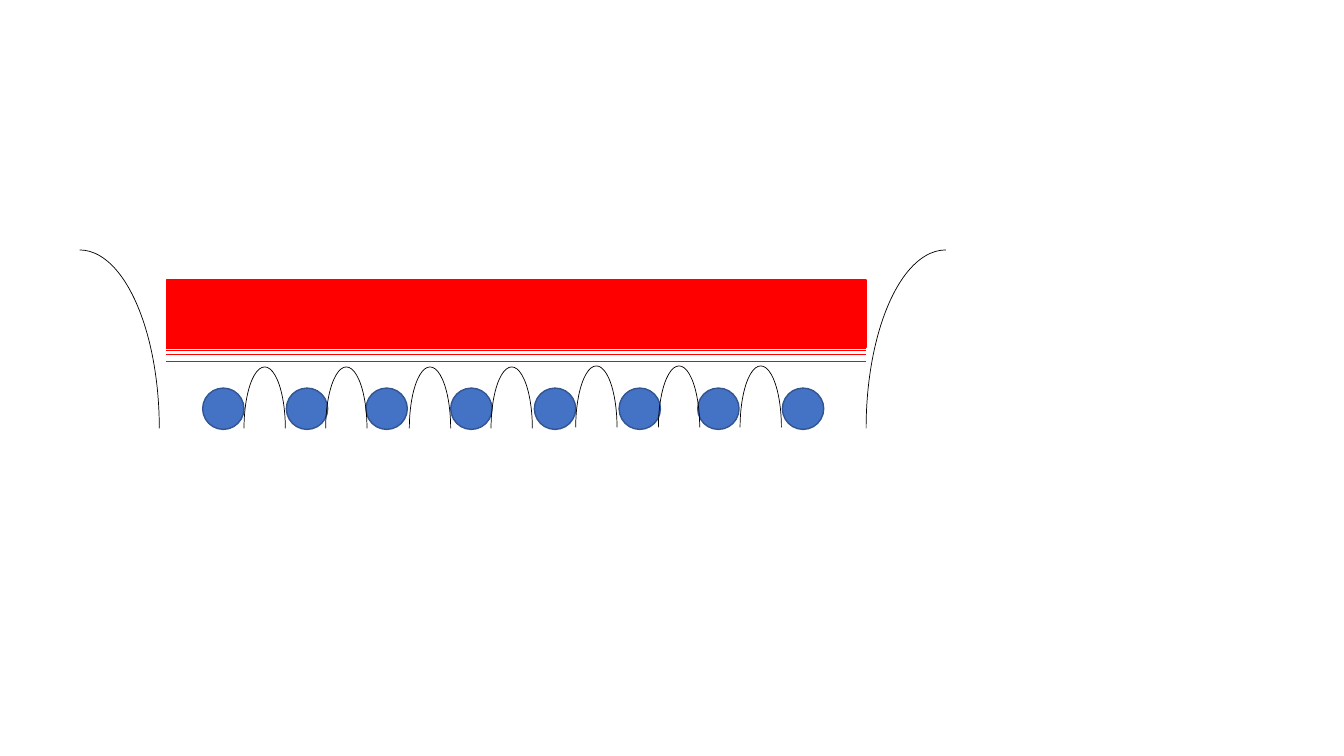
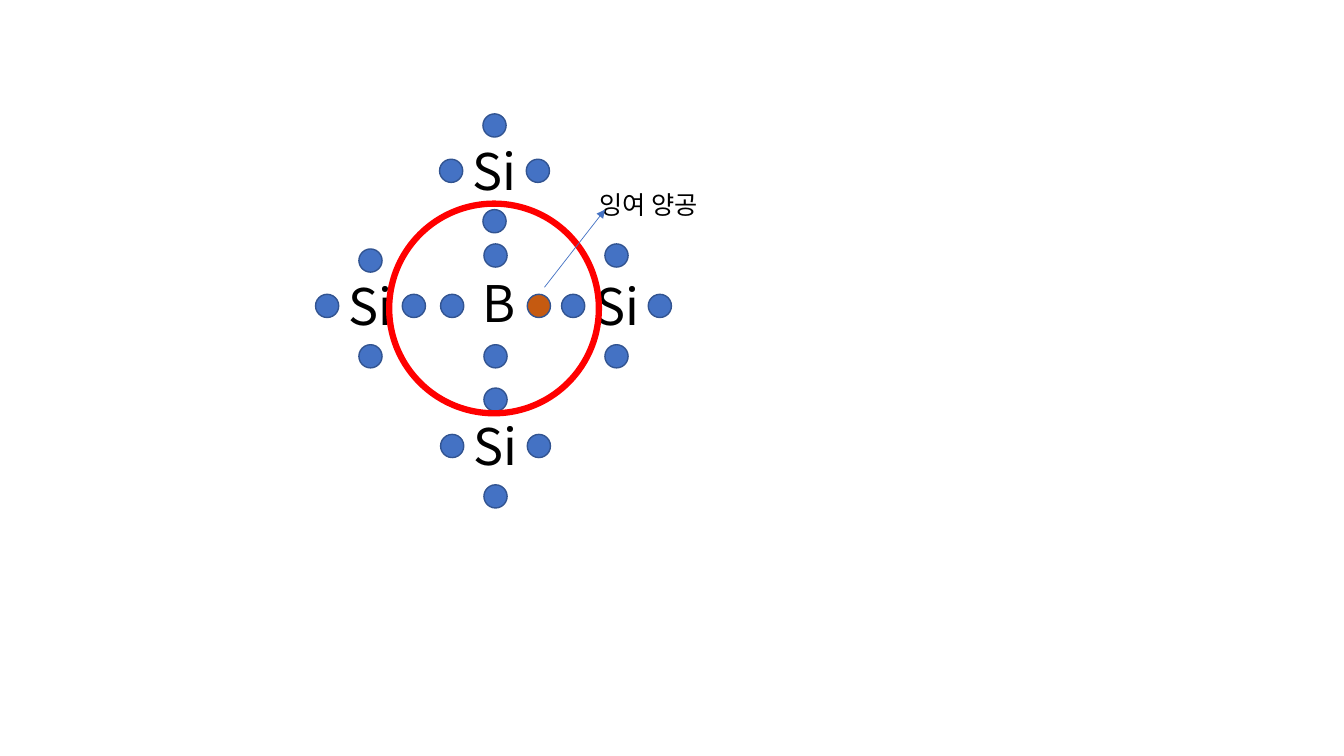
from lxml import etree
from pptx import Presentation
from pptx import util as u
from pptx.dml.color import RGBColor
from pptx.enum import shapes
from pptx.oxml.ns import qn

FONT = "Noto Sans CJK KR"
BLACK, RED, BLUE = "000000", "FF0000", "4472C4"
DARK_BLUE, ORANGE = "325491", "C55A11"

# Arc angles, in the units of the shape's adjustments (0.6 per degree)
LEFT, TOP, RIGHT = 108, 162, 0


def colour(value):
    return RGBColor.from_string(value)


def add_outline(slide, kind, box, fill, line, width):
    """Add a preset shape; a fill of None leaves it empty."""
    shape = slide.shapes.add_shape(kind, *map(u.Inches, box))
    shape.shadow.inherit = False
    if fill:
        shape.fill.solid()
        shape.fill.fore_color.rgb = colour(fill)
    else:
        shape.fill.background()
    shape.line.color.rgb = colour(line)
    shape.line.width = u.Pt(width)
    return shape


def add_ball(slide, left, top, size, fill=BLUE):
    add_outline(slide, shapes.MSO_SHAPE.OVAL, (left, top, size, size),
                fill, DARK_BLUE, 1)


def add_arc(slide, box, start, end):
    arc = add_outline(slide, shapes.MSO_SHAPE.ARC, box, None, BLACK, 0.5)
    arc.adjustments[0] = start
    arc.adjustments[1] = end


def add_line(slide, start, end, line, arrow=False):
    connector = slide.shapes.add_connector(
        shapes.MSO_CONNECTOR.STRAIGHT, *map(u.Inches, start + end))
    connector.line.color.rgb = colour(line)
    connector.line.width = u.Pt(0.5)
    properties = connector._element.spPr
    if arrow:
        outline = properties.find(qn("a:ln"))
        etree.SubElement(outline, qn("a:tailEnd"), type="triangle")
    etree.SubElement(properties, qn("a:effectLst"))


def add_label(slide, text, box, size, wrap=True):
    frame = slide.shapes.add_textbox(*map(u.Inches, box)).text_frame
    frame.word_wrap = wrap
    paragraph = frame.paragraphs[0]
    paragraph.text = text
    paragraph.font.name = FONT
    paragraph.font.size = u.Pt(size)
    paragraph.font.color.rgb = colour(BLACK)
    # East Asian typeface for the Korean text
    defaults = paragraph._p.pPr.find(qn("a:defRPr"))
    etree.SubElement(defaults, qn("a:ea"), typeface=FONT)


def add_atom(slide, symbol, column, row, rise, label_shift=(-0.2, -0.24),
             right_fill=BLUE):
    """Add a symbol with four electrons around it."""
    label_box = (column + label_shift[0], row + label_shift[1], 0.68, 0.71)
    add_label(slide, symbol, label_box, 36)
    electrons = [(0, -rise, BLUE), (0.43, 0, right_fill),
                 (0, 0.5, BLUE), (-0.43, 0, BLUE)]
    for across, down, fill in electrons:
        add_ball(slide, column + across, row + down, 0.23, fill)


def build_lattice(slide):
    # Row of ions
    for left in (2.01, 2.84, 3.63, 4.47, 5.3, 6.14, 6.92, 7.76):
        add_ball(slide, left, 3.85, 0.41)

    # Potential curve: outer walls and the arches between ions
    add_arc(slide, (0, 2.48, 1.58, 3.54), TOP, RIGHT)
    add_arc(slide, (8.59, 2.48, 1.58, 3.54), LEFT, TOP)
    arches = [(2.42, 3.64), (3.23, 3.64), (4.06, 3.64), (4.87, 3.64),
              (5.71, 3.63), (6.53, 3.63), (7.34, 3.63)]
    for left, top in arches:
        add_arc(slide, (left, top, 0.41, 1.22), LEFT, RIGHT)

    # Energy levels crowding into a band
    for level in (3.59, 3.48, 3.52, 3.46, 3.45):
        add_line(slide, (1.65, level), (8.59, level), RED)
    add_outline(slide, shapes.MSO_SHAPE.RECTANGLE,
                (1.65, 2.78, 6.94, 0.67), RED, RED, 1)


def build_doping(slide):
    # Boron and its silicon neighbours
    add_atom(slide, "B", 4.8, 2.92, 0.5, (-0.11, -0.27), ORANGE)
    add_atom(slide, "Si", 6, 2.92, 0.5, (-0.19, -0.24))
    add_atom(slide, "Si", 4.8, 4.31, 0.46)
    add_atom(slide, "Si", 3.56, 2.92, 0.45)
    add_atom(slide, "Si", 4.79, 1.58, 0.45)

    # Ring around the bonds, and the surplus hole
    add_outline(slide, shapes.MSO_SHAPE.OVAL, (3.86, 2.02, 2.08, 2.08),
                None, RED, 4.5)
    add_label(slide, "잉여 양공", (5.85, 1.83, 1.3, 0.4), 18, wrap=False)
    add_line(slide, (5.4, 2.85), (6, 2.08), BLUE, arrow=True)


def main():
    presentation = Presentation()
    presentation.slide_width = u.Inches(13.33)
    presentation.slide_height = u.Inches(7.5)
    blank = presentation.slide_layouts[6]
    for build in (build_lattice, build_doping):
        build(presentation.slides.add_slide(blank))
    presentation.save("out.pptx")


if __name__ == "__main__":
    main()
